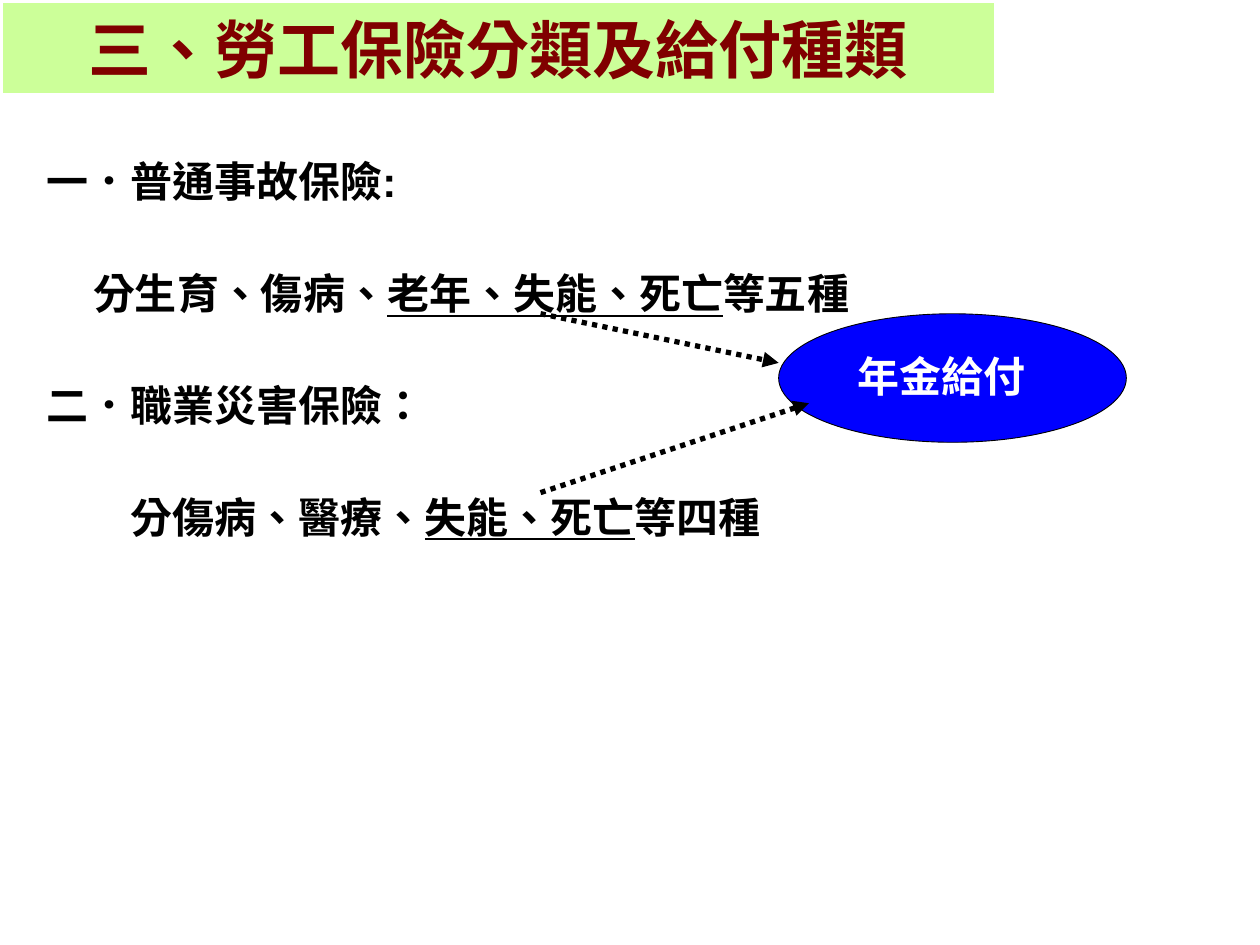
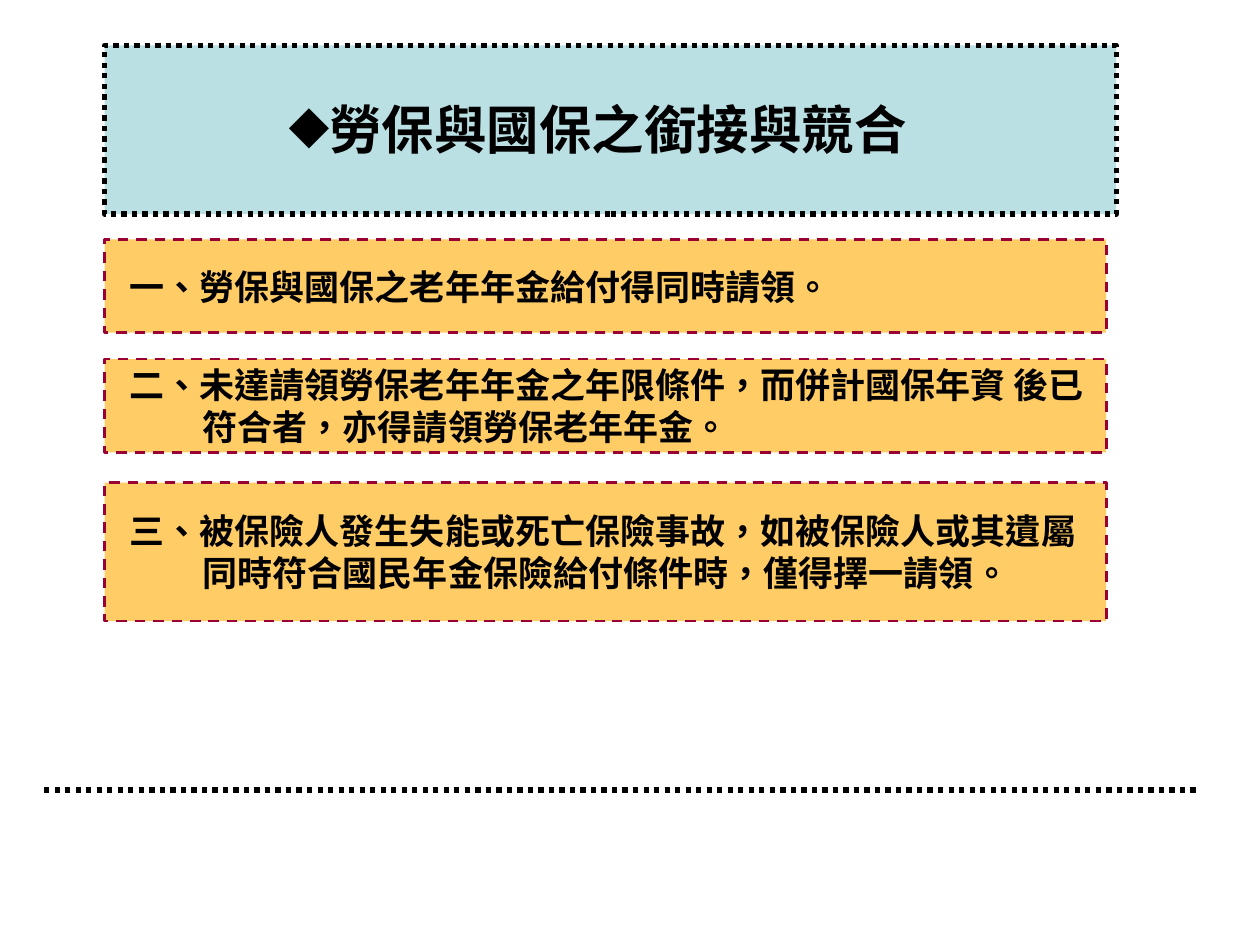
from lxml.etree import SubElement
from pptx import Presentation
from pptx.dml.color import RGBColor
from pptx.enum.dml import MSO_LINE
from pptx.enum.lang import MSO_LANGUAGE_ID
from pptx.enum.shapes import MSO_CONNECTOR, MSO_SHAPE
from pptx.enum.text import MSO_ANCHOR, MSO_AUTO_SIZE, PP_ALIGN
from pptx.oxml.ns import qn
from pptx.util import Inches, Pt

COLORS = {
    "black": "000000", "white": "FFFFFF", "maroon": "800000",
    "lime": "CCFF99", "blue": "0000FF", "teal": "BBE0E3",
    "amber": "FFCC66", "crimson": "990033",
}
FONT = "Arial"
CJK_FONT = "Noto Sans CJK SC"
TITLE_ONLY = 5


def rgb(name):
    return RGBColor.from_string(COLORS[name])


class Deck:
    def __init__(self):
        self.prs = Presentation()
        self.prs.slide_width, self.prs.slide_height = Inches(10), Inches(7.5)
        self.s = None

    def new_slide(self):
        self.s = self.prs.slides.add_slide(self.prs.slide_layouts[TITLE_ONLY])

    def frame(self, sp, anchor=MSO_ANCHOR.MIDDLE):
        tf = sp.text_frame
        tf.word_wrap = True
        tf.auto_size = MSO_AUTO_SIZE.NONE
        tf.vertical_anchor = anchor
        return tf

    def add_runs(self, p, runs, size, color="black"):
        """Add (text, underlined, font) runs to a paragraph."""
        for text, underlined, font in runs:
            r = p.add_run()
            r.text = text
            r.font.name = font
            r.font.size = Pt(size)
            r.font.bold = True
            r.font.underline = underlined
            r.font.color.rgb = rgb(color)
            r.font.language_id = MSO_LANGUAGE_ID.TRADITIONAL_CHINESE

    def indent(self, p, left, first=0):
        pPr = p._p.get_or_add_pPr()
        pPr.set("marL", str(Inches(left)))
        pPr.set("indent", str(Inches(first)))

    def outline(self, line, color, width, dash=None):
        line.color.rgb = rgb(color)
        line.width = Pt(width)
        if dash:
            line.dash_style = dash

    def paint(self, sp, fill, line, width, dash=None):
        sp.fill.solid()
        sp.fill.fore_color.rgb = rgb(fill)
        self.outline(sp.line, line, width, dash)

    def title(self, box, text, size, color, bullet=None):
        sp = self.s.shapes.title
        sp.left, sp.top, sp.width, sp.height = map(Inches, box)
        p = self.frame(sp).paragraphs[0]
        p.alignment = PP_ALIGN.CENTER
        if bullet:
            p.line_spacing = 0.95
            pPr = p._p.get_or_add_pPr()
            SubElement(SubElement(pPr, qn("a:buClr")), qn("a:srgbClr"), val=COLORS[color])
            SubElement(pPr, qn("a:buChar"), char=bullet)
        self.add_runs(p, [(text, False, FONT)], size, color)
        return sp

    def shape(self, kind, box, fill, line, width, dash=None):
        sp = self.s.shapes.add_shape(kind, *map(Inches, box))
        sp.shadow.inherit = False
        self.paint(sp, fill, line, width, dash)
        return sp

    def text_box(self, box):
        sp = self.s.shapes.add_textbox(*map(Inches, box))
        return self.frame(sp, MSO_ANCHOR.TOP)

    def dotted_line(self, start, end, arrow=False):
        cx = self.s.shapes.add_connector(MSO_CONNECTOR.STRAIGHT, *map(Inches, start + end))
        self.outline(cx.line, "black", 3, MSO_LINE.ROUND_DOT)
        if arrow:
            SubElement(cx.line._get_or_add_ln(), qn("a:tailEnd"), type="triangle")
        SubElement(cx._element.spPr, qn("a:effectLst"))

    def rule_box(self, top, height, left, first, text):
        sp = self.shape(MSO_SHAPE.RECTANGLE, (0.83, top, 7.95, height),
                        "amber", "crimson", 1.5, MSO_LINE.DASH)
        p = self.frame(sp).paragraphs[0]
        p.alignment = PP_ALIGN.LEFT
        self.indent(p, left, first)
        self.add_runs(p, [(text, False, FONT), ("。", False, CJK_FONT)], 20)


def insurance_types(deck):
    deck.new_slide()
    band = deck.title((0, 0, 7.91, 0.76), "三、勞工保險分類及給付種類", 36, "maroon")
    deck.paint(band, "lime", "white", 3)

    items = [
        (0, "一．普通事故保險:", "", ""),
        (0.37, "分生育、傷病、", "老年、失能、死亡", "等五種"),
        (0, "二．職業災害保險：", "", ""),
        (0.67, "分傷病、醫療、", "失能、死亡", "等四種"),
    ]
    tf = deck.text_box((0.27, 1.23, 7.87, 3.46))
    for i, (left, before, pension, after) in enumerate(items):
        p = tf.paragraphs[0] if i == 0 else tf.add_paragraph()
        p.line_spacing = 0.9
        if i:
            p.space_before = Pt(38)
        deck.indent(p, left)
        runs = [(before, False, FONT), (pension, True, FONT), (after, False, FONT)]
        deck.add_runs(p, [run for run in runs if run[0]], 24)

    deck.dotted_line((4.29, 2.49), (6.18, 2.88), arrow=True)
    deck.shape(MSO_SHAPE.OVAL, (6.18, 2.49, 2.76, 1.02), "blue", "black", 0.5)
    deck.dotted_line((4.29, 3.91), (6.42, 3.2), arrow=True)
    p = deck.text_box((6.57, 2.73, 1.81, 0.5)).paragraphs[0]
    p.alignment = PP_ALIGN.CENTER
    deck.add_runs(p, [("年金給付", False, FONT)], 24, "white")


def pension_overlap(deck):
    deck.new_slide()
    panel = deck.shape(MSO_SHAPE.RECTANGLE, (0.83, 0.36, 8.03, 1.34),
                       "teal", "black", 3, MSO_LINE.ROUND_DOT)
    title = deck.title((1.3, 0.65, 6.89, 0.79), "勞保與國保之銜接與競合", 30, "black", bullet="◆")
    panel._element.addnext(title._element)

    rules = [
        (1.9, 0.74, 0.4, -0.3, "一、勞保與國保之老年年金給付得同時請領"),
        (2.85, 0.74, 0.68, -0.58,
         "二、未達請領勞保老年年金之年限條件，而併計國保年資 後已符合者，亦得請領勞保老年年金"),
        (3.83, 1.1, 0.68, -0.58,
         "三、被保險人發生失能或死亡保險事故，如被保險人或其遺屬"
         "同時符合國民年金保險給付條件時，僅得擇一請領"),
    ]
    for rule in rules:
        deck.rule_box(*rule)
    deck.dotted_line((0.35, 6.27), (9.49, 6.27))


def main():
    deck = Deck()
    insurance_types(deck)
    pension_overlap(deck)
    deck.prs.save("out.pptx")


if __name__ == "__main__":
    main()
